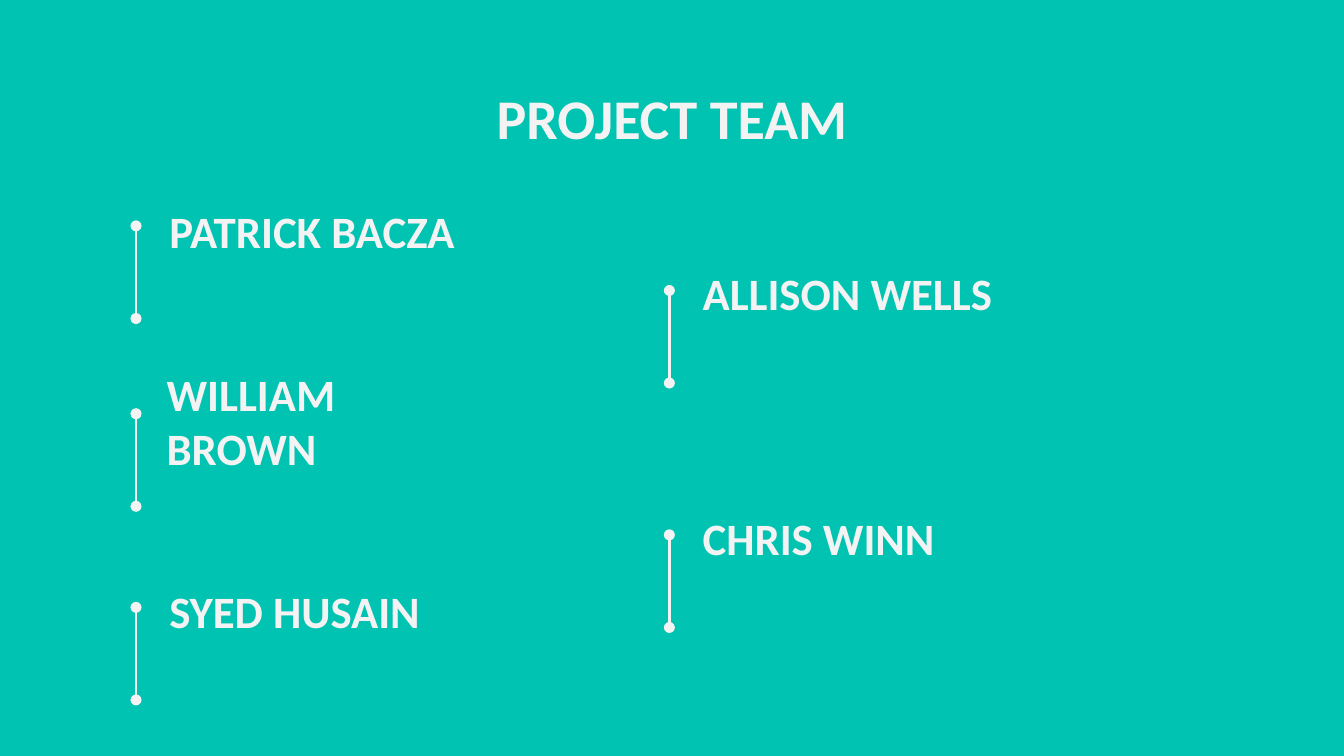
import pptx
import pptx.util
import pptx.dml.color
import pptx.enum.shapes
import pptx.enum.text
import pptx.oxml
import pptx.oxml.ns
from pptx.util import Cm

COLORS = {"background": "00C3B1", "light": "F3F3F3"}
RGB = pptx.dml.color.RGBColor.from_string
ALIGN = pptx.enum.text.PP_ALIGN


def fill_text(sp, text, size, align, inset):
    tf = sp.text_frame
    frame_format = {
        "word_wrap": True,
        "auto_size": pptx.enum.text.MSO_AUTO_SIZE.NONE,
        "vertical_anchor": pptx.enum.text.MSO_ANCHOR.MIDDLE,
        "margin_left": inset, "margin_right": inset,
        "margin_top": inset, "margin_bottom": inset,
    }
    for name, value in frame_format.items():
        setattr(tf, name, value)
    p = tf.paragraphs[0]
    p.alignment = align
    r = p.add_run()
    r.text = text
    font_format = {"name": "Calibri", "size": pptx.util.Pt(size), "bold": True}
    for name, value in font_format.items():
        setattr(r.font, name, value)
    r.font.color.rgb = RGB(COLORS["light"])


prs = pptx.Presentation()
prs.slide_width, prs.slide_height = Cm(25.4), Cm(14.29)
s = prs.slides.add_slide(prs.slide_layouts[5])
s.background.fill.solid()
s.background.fill.fore_color.rgb = RGB(COLORS["background"])

# Title
sp = s.shapes.title
place = {"left": Cm(2), "top": Cm(1.42), "width": Cm(21.4), "height": Cm(1.6)}
for name, value in place.items():
    setattr(sp, name, value)
fill_text(sp, "PROJECT TEAM", 30, ALIGN.CENTER, 0)

# Team members: name, name left, name top, line x, line top (cm)
members = [
    ("PATRICK BACZA", 2.95, 3.78, 2.57, 4.27),
    ("WILLIAM BROWN", 2.9, 7.37, 2.57, 7.82),
    ("SYED HUSAIN", 2.95, 10.95, 2.57, 11.48),
    ("ALLISON WELLS", 13.03, 4.95, 12.65, 5.49),
    ("CHRIS WINN", 13.03, 9.58, 12.65, 10.11),
]
for member, left, top, line_x, line_top in members:
    sp = s.shapes.add_textbox(Cm(left), Cm(top), Cm(6.5), Cm(1.17))
    fill_text(sp, member, 24, ALIGN.LEFT, Cm(0.25))

    # Vertical line with a dot at each end
    line = s.shapes.add_connector(
        pptx.enum.shapes.MSO_CONNECTOR.STRAIGHT,
        Cm(line_x), Cm(line_top), Cm(line_x), Cm(line_top + 1.75))
    line.line.color.rgb = RGB(COLORS["light"])
    line.line.width = pptx.util.Pt(1.5)
    ln = line.line._get_or_add_ln()
    for end in ("a:headEnd", "a:tailEnd"):
        ln.append(pptx.oxml.parse_xml(
            f'<{end} {pptx.oxml.ns.nsdecls("a")} type="oval"/>'))
    ln.getparent().append(pptx.oxml.parse_xml(
        f'<a:effectLst {pptx.oxml.ns.nsdecls("a")}/>'))

prs.save("out.pptx")
